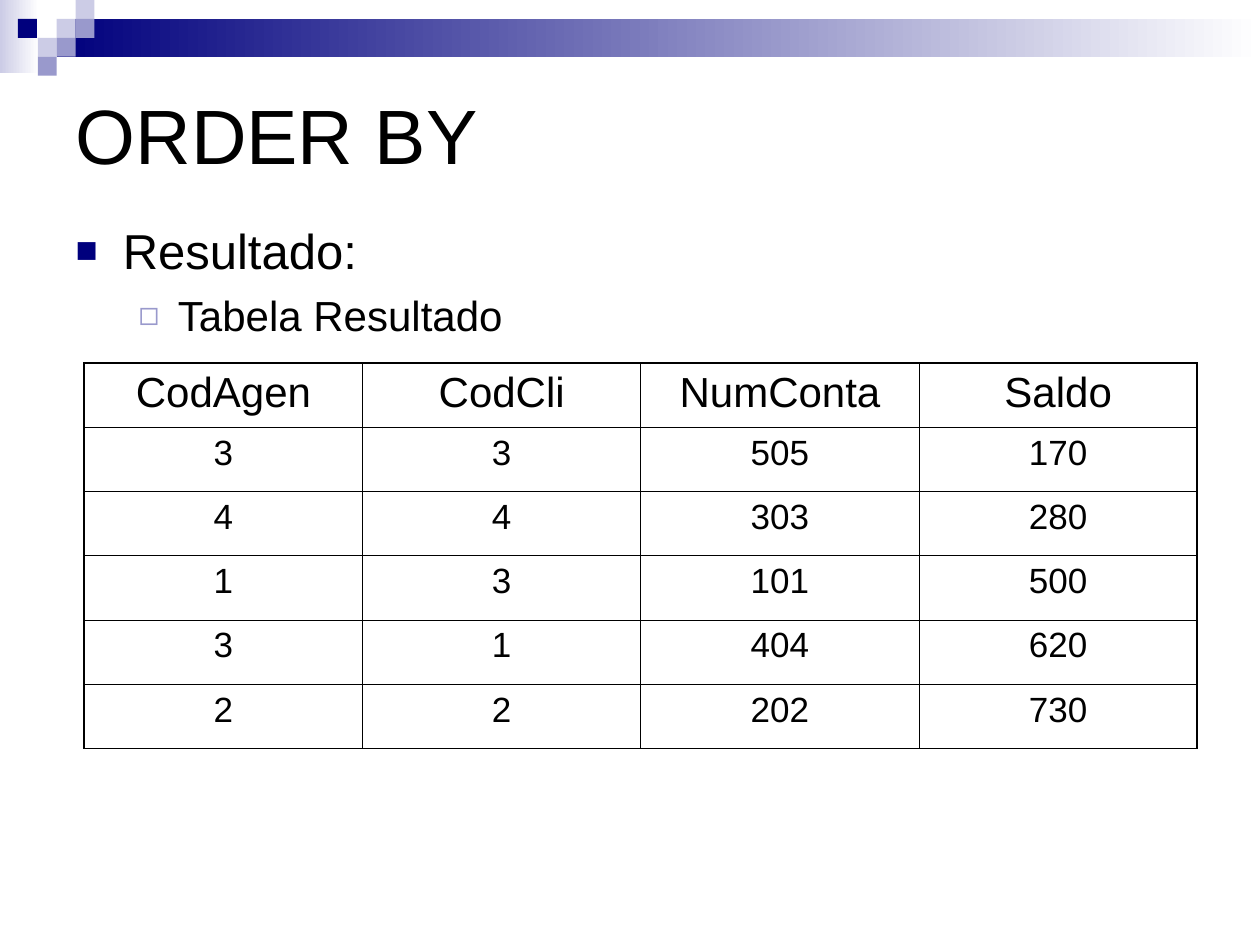
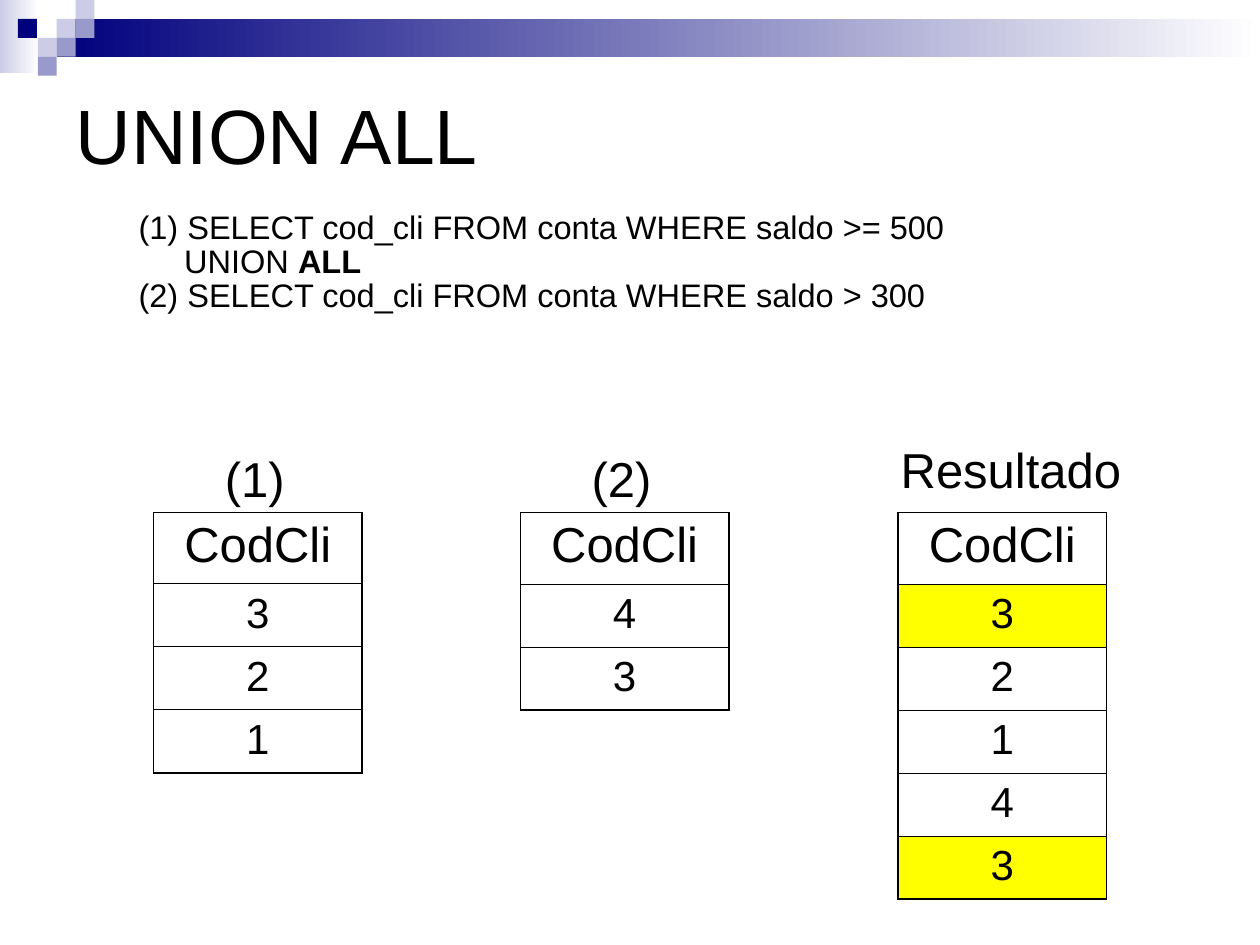
"""Builds two SQL slides, ORDER BY and UNION ALL, with their result tables."""
import dataclasses
import typing

import lxml.etree
import pptx
import pptx.dml.color
import pptx.enum.shapes
import pptx.enum.text
import pptx.oxml.ns
import pptx.presentation
import pptx.shapes.autoshape
import pptx.slide
import pptx.text.text
import pptx.util

Pt = pptx.util.Pt
FONT = "Arial"
BLACK, WHITE, YELLOW = "000000", "FFFFFF", "FFFF00"
NAVY, LILAC, PALE = "00007D", "9999CC", "CCCCE6"
THICK, THIN = 1.08, 0.45
CELL = 10.8
LEFT = pptx.enum.text.PP_ALIGN.LEFT
CENTER = pptx.enum.text.PP_ALIGN.CENTER


class Box(typing.NamedTuple):
    left: float
    top: float
    width: float
    height: float

    def lengths(self) -> list[pptx.util.Length]:
        return [Pt(value) for value in self]


@dataclasses.dataclass
class Band:
    box: Box
    start: str
    end: str | None = None


@dataclasses.dataclass
class Bullet:
    char: str
    color: str
    percent: int


@dataclasses.dataclass
class Grid:
    left: float
    top: float
    column_width: float
    header_height: float
    row_height: float
    header_size: float
    body_size: float
    rows: list[list[str]]
    highlighted: tuple[int, ...] = ()


@dataclasses.dataclass
class UnionPart:
    caption: str
    caption_box: Box
    table_left: float
    codes: str
    highlighted: tuple[int, ...] = ()


def square(column: float, row: int, color: str) -> Band:
    return Band(Box(column * CELL, row * CELL, CELL, CELL), color)


BANNER = [
    Band(Box(0, 0, 22.3, 41.8), PALE, WHITE),
    Band(Box(3 * CELL, CELL, 720 - 3 * CELL, 2 * CELL), NAVY, WHITE),
    square(3, 1, PALE),
    square(4, 0, PALE),
    square(4, 1, LILAC),
    square(2, 2, PALE),
    square(0.95, 1, NAVY),
    square(3, 2, LILAC),
    square(2, 3, LILAC),
]

ACCOUNTS = Grid(48.2, 207.4, 159, 36.72, 36.72, 24, 20, [
    ["CodAgen", "CodCli", "NumConta", "Saldo"],
    ["3", "3", "505", "170"],
    ["4", "4", "303", "280"],
    ["1", "3", "101", "500"],
    ["3", "1", "404", "620"],
    ["2", "2", "202", "730"],
])

UNION_PARTS = [
    UnionPart("(1)", Box(121.5, 252.7, 50, 41), 87.8, "321"),
    UnionPart("(2)", Box(331, 252.7, 50, 41), 297.4, "43"),
    UnionPart("Resultado", Box(507.6, 247.7, 140.4, 41), 513.2, "32143", (1, 5)),
]


def rgb(color: str) -> pptx.dml.color.RGBColor:
    return pptx.dml.color.RGBColor.from_string(color)


def add_xml(parent: lxml.etree._Element, tag: str, **attributes: str) -> lxml.etree._Element:
    return lxml.etree.SubElement(parent, pptx.oxml.ns.qn(tag), attributes)


def write(paragraph: pptx.text.text._Paragraph, text: str, *, size: float,
          color: str = BLACK, bold: bool = False, align: int = LEFT) -> None:
    paragraph.alignment = align
    run = paragraph.add_run()
    run.text = text
    run.font.name = FONT
    run.font.size = Pt(size)
    run.font.bold = bold
    run.font.color.rgb = rgb(color)


def style_item(paragraph: pptx.text.text._Paragraph, margin: float, indent: float,
               bullet: Bullet | None = None) -> None:
    properties = paragraph._p.get_or_add_pPr()
    properties.set("marL", str(Pt(margin)))
    properties.set("indent", str(Pt(indent)))
    if bullet is None:
        add_xml(properties, "a:buNone")
        return
    add_xml(add_xml(properties, "a:buClr"), "a:srgbClr", val=bullet.color)
    add_xml(properties, "a:buSzPct", val=str(bullet.percent * 1000))
    add_xml(properties, "a:buFont", typeface=FONT)
    add_xml(properties, "a:buChar", char=bullet.char)


def place(shape: pptx.shapes.autoshape.Shape, box: Box) -> pptx.text.text.TextFrame:
    shape.left, shape.top, shape.width, shape.height = box.lengths()
    shape.text_frame.auto_size = pptx.enum.text.MSO_AUTO_SIZE.NONE
    return shape.text_frame


def draw_band(slide: pptx.slide.Slide, band: Band) -> pptx.shapes.autoshape.Shape:
    shape = slide.shapes.add_shape(pptx.enum.shapes.MSO_SHAPE.RECTANGLE, *band.box.lengths())
    shape.shadow.inherit = False
    shape.line.fill.background()
    if band.end is None:
        shape.fill.solid()
        shape.fill.fore_color.rgb = rgb(band.start)
    else:
        shape.fill.gradient()
        shape.fill.gradient_angle = 0
        for stop, color in zip(shape.fill.gradient_stops, (band.start, band.end)):
            stop.color.rgb = rgb(color)
    return shape


def move_banner_to_master(deck: pptx.presentation.Presentation, slide: pptx.slide.Slide) -> None:
    master_tree = deck.slide_master.shapes.element
    for position, band in enumerate(BANNER, start=2):
        master_tree.insert(position, draw_band(slide, band).element)


def add_titled_slide(deck: pptx.presentation.Presentation, title: str) -> pptx.slide.Slide:
    slide = deck.slides.add_slide(deck.slide_layouts[1])
    frame = place(slide.shapes.title, Box(36, 36, 648, 80.6))
    frame.vertical_anchor = pptx.enum.text.MSO_ANCHOR.MIDDLE
    write(frame.paragraphs[0], title, size=44)
    return slide


def draw_grid(slide: pptx.slide.Slide, grid: Grid) -> None:
    last_row, last_column = len(grid.rows) - 1, len(grid.rows[0]) - 1
    heights = [grid.header_height] + [grid.row_height] * last_row
    box = Box(grid.left, grid.top, grid.column_width * (last_column + 1), sum(heights))
    table = slide.shapes.add_table(last_row + 1, last_column + 1, *box.lengths()).table
    table.first_row = table.horz_banding = False
    for column in table.columns:
        column.width = Pt(grid.column_width)
    for r, values in enumerate(grid.rows):
        table.rows[r].height = Pt(heights[r])
        for c, value in enumerate(values):
            cell = table.cell(r, c)
            outer_edges = {"a:lnL": c == 0, "a:lnR": c == last_column,
                           "a:lnT": r == 0, "a:lnB": r == last_row}
            for tag, outer in outer_edges.items():
                line = add_xml(cell._tc.get_or_add_tcPr(), tag, w=str(Pt(THICK if outer else THIN)))
                add_xml(add_xml(line, "a:solidFill"), "a:srgbClr", val=BLACK)
            if r in grid.highlighted:
                cell.fill.solid()
                cell.fill.fore_color.rgb = rgb(YELLOW)
            else:
                cell.fill.background()
            size = grid.header_size if r == 0 else grid.body_size
            write(cell.text_frame.paragraphs[0], value, size=size, align=CENTER)


def draw_union_part(slide: pptx.slide.Slide, part: UnionPart) -> None:
    rows = [["CodCli"]] + [[code] for code in part.codes]
    draw_grid(slide, Grid(part.table_left, 292.8, 119, 40.8, 36, 28, 24, rows, part.highlighted))
    caption = slide.shapes.add_textbox(*part.caption_box.lengths()).text_frame
    caption.word_wrap = False
    caption.auto_size = pptx.enum.text.MSO_AUTO_SIZE.SHAPE_TO_FIT_TEXT
    write(caption.paragraphs[0], part.caption, size=28)


def build_order_by(deck: pptx.presentation.Presentation) -> None:
    slide = add_titled_slide(deck, "ORDER BY")
    move_banner_to_master(deck, slide)
    frame = place(slide.placeholders[1], Box(36, 122.4, 664.6, 402.5))
    result = frame.paragraphs[0]
    style_item(result, 27, -27, Bullet("■", NAVY, 75))
    result.space_before = Pt(0)
    write(result, "Resultado:", size=28)
    table_name = frame.add_paragraph()
    table_name.level = 1
    style_item(table_name, 58.5, -22.5, Bullet("◻", LILAC, 80))
    table_name.space_before = Pt(6)
    write(table_name, "Tabela Resultado", size=24)
    draw_grid(slide, ACCOUNTS)


def build_union_all(deck: pptx.presentation.Presentation) -> None:
    slide = add_titled_slide(deck, "UNION ALL")
    frame = place(slide.placeholders[1], Box(36, 122.4, 647.3, 113))
    query = [
        (58.5, -22.5, [("(1) SELECT cod_cli FROM conta WHERE saldo >= 500", False)]),
        (62, 0, [("UNION ", False), ("ALL", True)]),
        (58.5, -22.5, [("(2) SELECT cod_cli FROM conta WHERE saldo > 300", False)]),
    ]
    for number, (margin, indent, pieces) in enumerate(query):
        line = frame.add_paragraph() if number else frame.paragraphs[0]
        line.level = 1
        style_item(line, margin, indent)
        line.line_spacing = 0.6
        line.space_before = Pt(6 if number else 0)
        for text, bold in pieces:
            write(line, text, size=18.6, bold=bold)
    for part in UNION_PARTS:
        draw_union_part(slide, part)


def main() -> None:
    deck = pptx.Presentation()
    deck.slide_width, deck.slide_height = Pt(720), Pt(540)
    build_order_by(deck)
    build_union_all(deck)
    deck.save("out.pptx")


if __name__ == "__main__":
    main()
